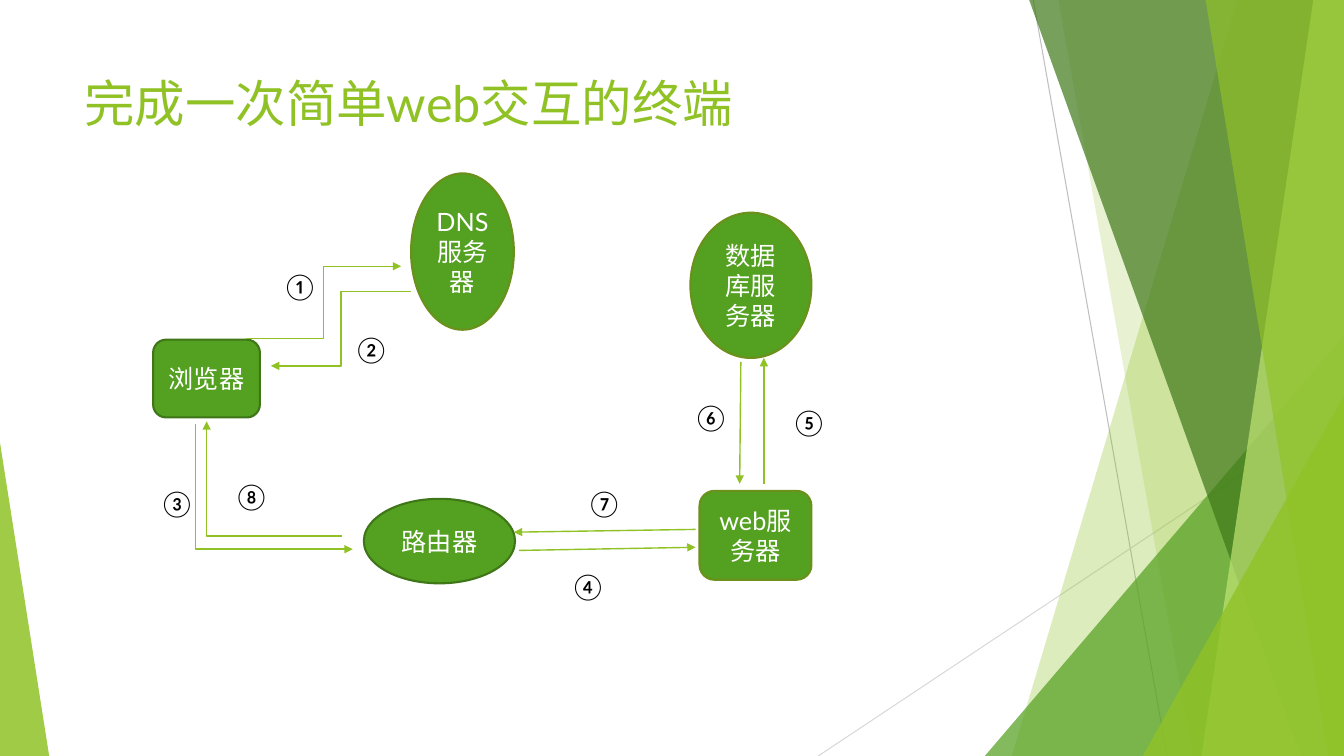
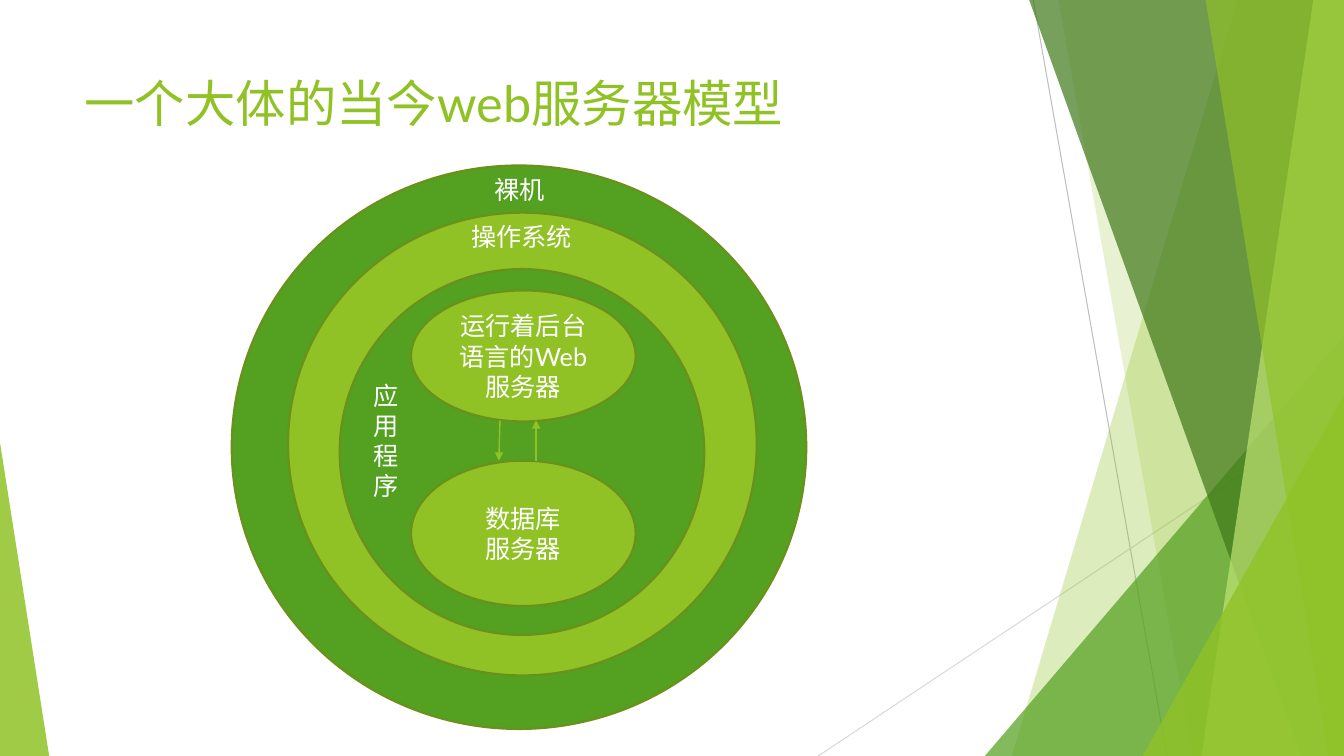
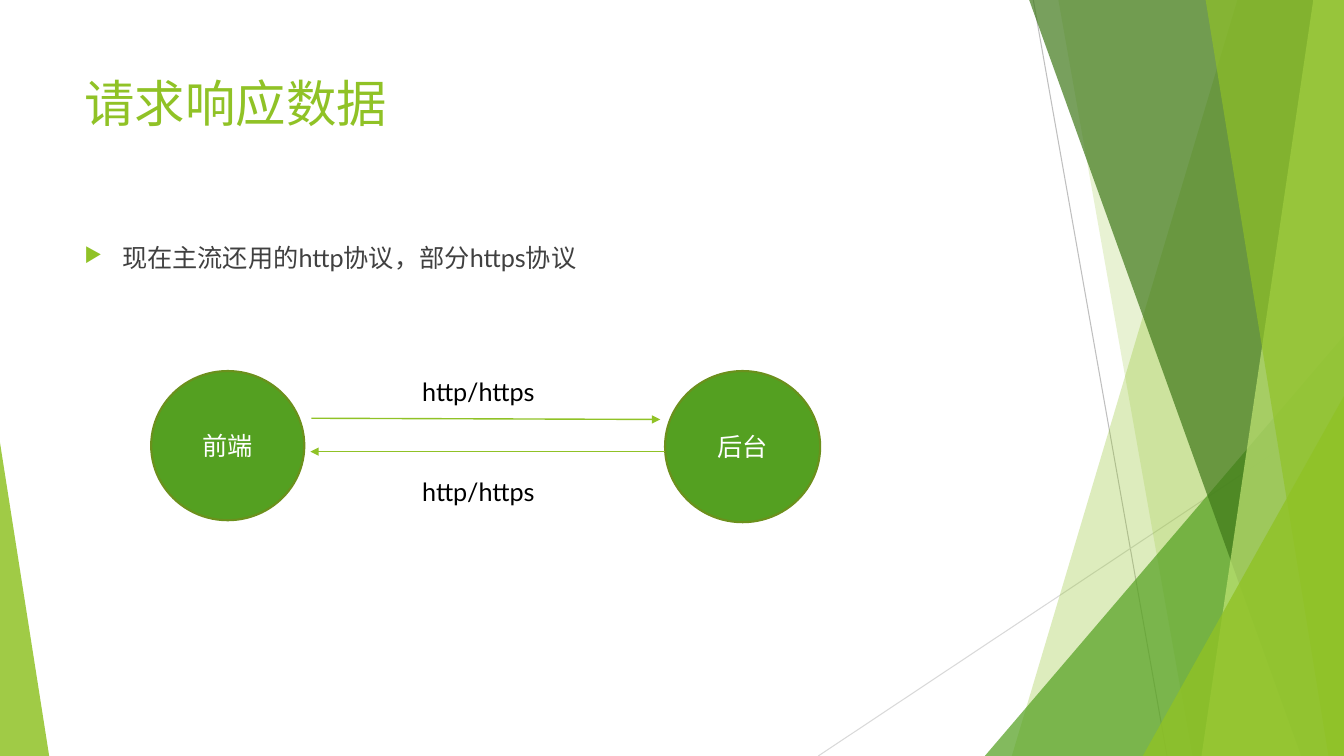
"""Build three slides on web interaction, server layers and request data."""
import pptx
import pptx.dml.color
import pptx.enum.shapes
import pptx.enum.text
import pptx.oxml.ns
import pptx.util
from lxml import etree

Cm = pptx.util.Cm
Pt = pptx.util.Pt
RGBColor = pptx.dml.color.RGBColor
Shape = pptx.enum.shapes.MSO_SHAPE
Link = pptx.enum.shapes.MSO_CONNECTOR
Align = pptx.enum.text.PP_ALIGN
Anchor = pptx.enum.text.MSO_ANCHOR
qn = pptx.oxml.ns.qn

LIME = RGBColor(0x90, 0xC2, 0x26)
PALE_LIME = RGBColor(0xC0, 0xE4, 0x74)
GREEN = RGBColor(0x54, 0xA0, 0x21)
FOREST = RGBColor(0x3F, 0x78, 0x19)
DARK_EDGE = RGBColor(0x3E, 0x76, 0x18)
OLIVE = RGBColor(0x6B, 0x90, 0x1C)
SILVER = RGBColor(0xBF, 0xBF, 0xBF)
LIGHT_GRAY = RGBColor(0xD9, 0xD9, 0xD9)
CHARCOAL = RGBColor(0x40, 0x40, 0x40)
BLACK = RGBColor(0, 0, 0)
WHITE = RGBColor(0xFF, 0xFF, 0xFF)

FONT = "Lato"
WIDTH, HEIGHT = 33.87, 19.05
LINE_HEIGHT = 1.02


class Deck:
    """Hold the shared style and the slide being filled."""

    def __init__(self):
        self.deck = pptx.Presentation()
        self.deck.slide_width = Cm(WIDTH)
        self.deck.slide_height = Cm(HEIGHT)
        self.page = None

    def new_page(self, title):
        """Start a slide with its backdrop and title."""
        self.page = self.deck.slides.add_slide(self.deck.slide_layouts[6])
        self.backdrop()
        self.text(title, 1.88, 1.7, 23.88, 3.66, LIME, 36)

    def backdrop(self):
        """Draw the translucent facets on both sides."""
        self.line((26.04, 0), (29.41, HEIGHT), SILVER, 0.75)
        self.line((WIDTH, 10.24), (20.62, HEIGHT), LIGHT_GRAY, 0.75)
        self.facet(31.19, 25.5, LIME, 30)
        self.facet(26.67, 30.05, LIME, 20)
        self.corner(24.82, 8.46, 9.05, 1, GREEN, 72)
        self.facet(25.93, 32.79, FOREST, 70)
        self.facet(33.1, 30.28, PALE_LIME, 70)
        self.facet(30.38, 33.48, LIME, 65)
        self.corner(28.8, 9.98, 5.07, 1, LIME, 80)
        self.corner(0, 11.15, 1.24, 0, LIME, 85)

    def paint(self, shape, color, opacity):
        """Give a borderless shape a translucent fill."""
        shape.shadow.inherit = False
        shape.fill.solid()
        shape.fill.fore_color.rgb = color
        shape.line.fill.background()
        tint = shape._element.spPr.find(qn("a:solidFill")).find(qn("a:srgbClr"))
        etree.SubElement(tint, qn("a:alpha"), val=str(opacity * 1000))

    def facet(self, top_x, bottom_x, color, opacity):
        """Fill from a slanted edge to the right side of the slide."""
        outline = self.page.shapes.build_freeform(Cm(top_x), Cm(-0.02))
        corners = [(WIDTH, -0.02), (WIDTH, HEIGHT), (bottom_x, HEIGHT)]
        outline.add_line_segments([(Cm(x), Cm(y)) for x, y in corners], close=True)
        self.paint(outline.convert_to_shape(), color, opacity)

    def corner(self, left, top, width, apex, color, opacity):
        """Draw a triangle standing on the bottom edge."""
        shape = self.page.shapes.add_shape(
            Shape.ISOSCELES_TRIANGLE, Cm(left), Cm(top), Cm(width), Cm(HEIGHT - top))
        shape.adjustments[0] = apex
        self.paint(shape, color, opacity)

    def fill_frame(self, frame, words, color, size, align):
        """Put styled words in a text frame."""
        frame.word_wrap = True
        frame.text = words
        for para in frame.paragraphs:
            para.alignment = align
            for span in para.runs:
                span.font.name = FONT
                span.font.size = Pt(size)
                span.font.color.rgb = color

    def text(self, words, left, top, width, height=LINE_HEIGHT, color=BLACK, size=18):
        """Add a text box and return it."""
        box = self.page.shapes.add_textbox(Cm(left), Cm(top), Cm(width), Cm(height))
        self.fill_frame(box.text_frame, words, color, size, Align.LEFT)
        return box

    def bullet(self, words, left, top, width, height):
        """Add a text box with one arrow bullet."""
        para = self.text(words, left, top, width, height, CHARCOAL).text_frame.paragraphs[0]
        para.space_before = Pt(10)
        props = para._p.get_or_add_pPr()
        props.set("marL", str(Cm(0.95)))
        props.set("indent", str(Cm(-0.95)))
        tint = etree.SubElement(props, qn("a:buClr"))
        etree.SubElement(tint, qn("a:srgbClr"), val=str(LIME))
        etree.SubElement(props, qn("a:buSzPct"), val="80000")
        etree.SubElement(props, qn("a:buChar"), char="▶")

    def node(self, kind, words, left, top, width, height, fill=GREEN, edge=OLIVE):
        """Add an outlined shape with centred white words."""
        shape = self.page.shapes.add_shape(kind, Cm(left), Cm(top), Cm(width), Cm(height))
        shape.shadow.inherit = False
        shape.fill.solid()
        shape.fill.fore_color.rgb = fill
        shape.line.color.rgb = edge
        shape.line.width = Pt(1.5)
        shape.text_frame.vertical_anchor = Anchor.MIDDLE
        self.fill_frame(shape.text_frame, words, WHITE, 18, Align.CENTER)

    def line(self, start, end, color=LIME, weight=1, kind=Link.STRAIGHT):
        """Add a plain connector and return it."""
        points = [Cm(value) for value in (*start, *end)]
        connector = self.page.shapes.add_connector(kind, *points)
        connector.line.color.rgb = color
        connector.line.width = Pt(weight)
        etree.SubElement(connector._element.spPr, qn("a:effectLst"))
        return connector

    def arrow(self, start, end, kind=Link.STRAIGHT, tip="a:tailEnd"):
        """Add a connector with a triangle at one end."""
        connector = self.line(start, end, kind=kind)
        outline = connector._element.spPr.find(qn("a:ln"))
        etree.SubElement(outline, qn(tip), type="triangle")
        return connector

    def corner_arrow(self, start, end, tip):
        """Add an arrow that runs sideways, then turns once."""
        connector = self.arrow(start, end, Link.ELBOW, tip)
        connector._element.spPr.find(qn("a:prstGeom")).set("prst", "bentConnector2")


def interaction(deck):
    """Show the steps between browser, router and servers."""
    deck.new_page("完成一次简单web交互的终端")
    deck.node(Shape.ROUNDED_RECTANGLE, "浏览器", 3.86, 8.56, 2.69, 1.96, edge=DARK_EDGE)
    deck.node(Shape.OVAL, "路由器", 9.17, 12.57, 3.81, 2.13, edge=DARK_EDGE)
    deck.node(Shape.ROUNDED_RECTANGLE, "web服务器", 17.63, 12.37, 2.82, 2.24)
    deck.node(Shape.OVAL, "数据库服务器", 17.4, 5.36, 3.05, 3.66)
    deck.node(Shape.OVAL, "DNS服务器", 10.36, 4.37, 2.59, 3.94)
    deck.arrow((6.2, 8.53), (10.11, 6.71), Link.ELBOW)
    deck.arrow((10.36, 7.34), (6.83, 9.22), Link.ELBOW)
    deck.corner_arrow((8.89, 13.84), (4.93, 10.69), "a:headEnd")
    deck.corner_arrow((8.61, 13.51), (5.21, 10.62), "a:tailEnd")
    deck.arrow((13.08, 13.87), (17.53, 13.79))
    deck.arrow((19.25, 12.19), (19.25, 9.02))
    deck.arrow((18.67, 9.12), (18.64, 12.19))
    deck.arrow((17.53, 13.34), (12.95, 13.41))
    steps = [(6.96, 6.71, 0.64), (8.76, 8.31, 0.76), (3.86, 12.19, 0.79),
             (14.22, 14.27, 1.09), (19.79, 10.13, 0.69), (17.32, 10.01, 0.64),
             (14.63, 12.19, 0.89), (5.74, 12.01, 1.09)]
    for number, place in zip("①②③④⑤⑥⑦⑧", steps):
        deck.text(number, *place)


def server_model(deck):
    """Show the nested layers of a web server."""
    deck.new_page("一个大体的当今web服务器模型")
    deck.node(Shape.OVAL, "", 5.84, 4.17, 14.48, 14.2)
    deck.node(Shape.OVAL, "", 7.26, 5.36, 11.81, 11.66, LIME)
    deck.text("裸机", 12.22, 4.27, 2.51, color=WHITE)
    deck.text("操作系统", 11.63, 5.46, 4.39, color=WHITE)
    deck.node(Shape.OVAL, "", 8.56, 6.78, 9.19, 9.22)
    deck.node(Shape.OVAL, "运行着后台语言的Web服务器", 10.36, 7.32, 5.66, 3.3, LIME)
    deck.node(Shape.OVAL, "数据库\n服务器", 10.36, 11.61, 5.66, 3.66, LIME)
    deck.text("应用程序", 9.17, 9.45, 1.17, 3.33, WHITE)
    deck.arrow((12.6, 10.59), (12.57, 11.61))
    deck.arrow((13.51, 11.61), (13.51, 10.59))


def request_data(deck):
    """Show the exchange between front end and back end."""
    deck.new_page("请求响应数据")
    deck.bullet("现在主流还用的http协议，部分https协议", 1.88, 5.99, 23.88, 10.77)
    deck.node(Shape.OVAL, "前端", 3.81, 9.35, 3.86, 3.76)
    deck.node(Shape.OVAL, "后台", 16.76, 9.35, 3.91, 3.81)
    deck.arrow((7.85, 10.54), (16.64, 10.57))
    deck.arrow((16.76, 11.38), (7.82, 11.38))
    deck.text("http/https", 10.39, 9.35, 4.5, 1.8)
    deck.text("http/https", 10.39, 11.89, 3.61)


show = Deck()
interaction(show)
server_model(show)
request_data(show)
show.deck.save("out.pptx")
